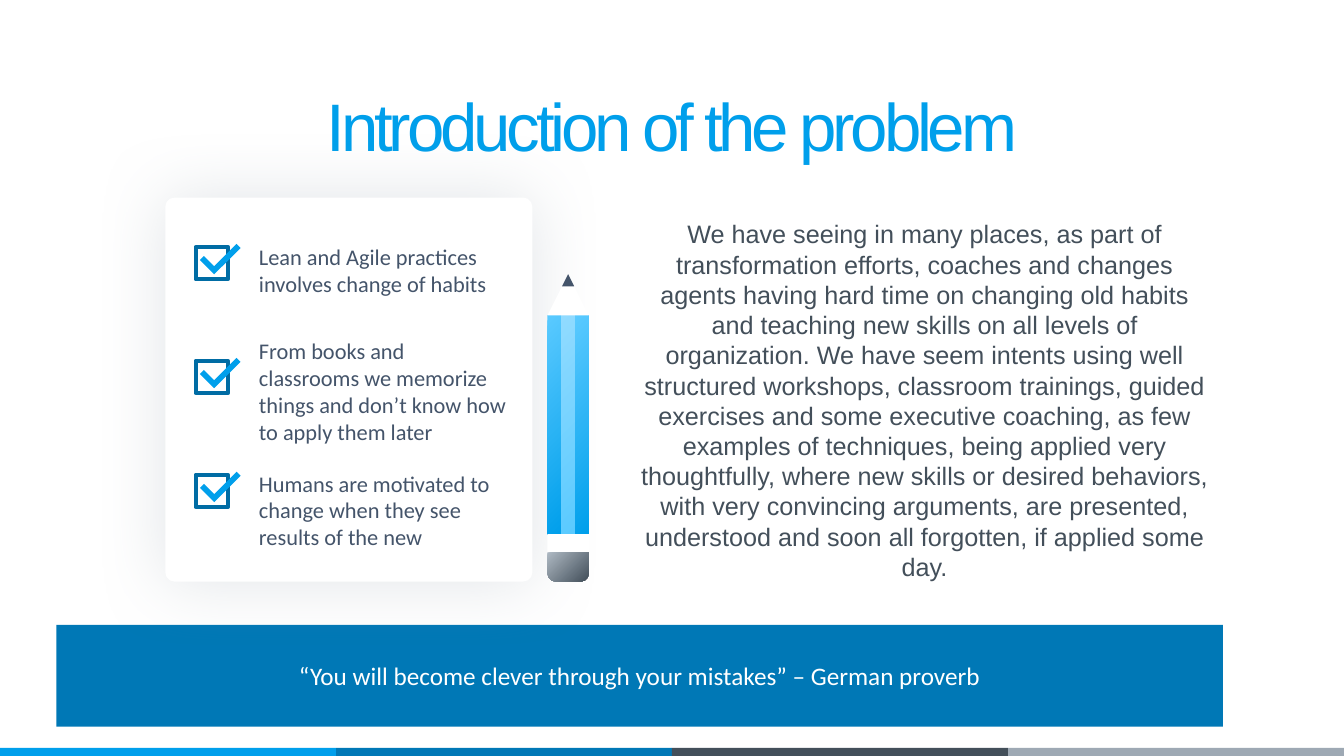
from dataclasses import dataclass

from lxml.etree import SubElement
from pptx import Presentation
from pptx.dml.color import RGBColor
from pptx.enum.shapes import MSO_SHAPE
from pptx.enum.text import MSO_ANCHOR, PP_ALIGN
from pptx.oxml.ns import qn
from pptx.util import Inches, Pt


@dataclass(frozen=True)
class Theme:
    sky: str = "009FEB"
    light_sky: str = "5ACAFF"
    pale_sky: str = "91DBFF"
    blue: str = "0078B6"
    box_blue: str = "006CA4"
    slate: str = "434F5A"
    ink: str = "44546A"
    grey: str = "9EA9B4"
    light_grey: str = "AEB9C3"
    white: str = "FFFFFF"
    title_size: int = 48
    body_size: int = 18
    item_size: int = 16
    heading_font: str = "Arial"
    text_font: str = "Calibri"


THEME = Theme()

CHECKLIST = [  # text, top and height within the card
    ("Lean and Agile practices involves change of habits", 0.40, 0.64),
    ("From books and classrooms we memorize things and don’t know how "
     "to apply them later", 1.34, 1.18),
    ("Humans are motivated to change when they see results of the new",
     2.65, 0.91),
]
PROBLEM = (
    "We have seeing in many places, as part of transformation efforts, "
    "coaches and changes agents having hard time on changing old habits and "
    "teaching new skills on all levels of organization. We have seem intents "
    "using well structured workshops, classroom trainings, guided exercises "
    "and some executive coaching, as few examples of techniques, being "
    "applied very thoughtfully, where new skills or desired behaviors, with "
    "very convincing arguments, are presented, understood and soon all "
    "forgotten, if applied some day."
)
QUOTE = "“You will become clever through your mistakes” – German proverb"


def add_block(shapes, kind, box, fill=None, line=None, adj=()):
    """Add a preset shape; fill is a colour, a pair for a gradient, or None."""
    sp = shapes.add_shape(kind, *map(Inches, box))
    sp.shadow.inherit = False
    for i, value in enumerate(adj):
        sp.adjustments[i] = value
    if fill is None:
        sp.fill.background()
    elif isinstance(fill, tuple):
        sp.fill.gradient()
        sp.fill.gradient_angle = 315
        for stop, color in zip(sp.fill.gradient_stops, fill):
            stop.color.rgb = RGBColor.from_string(color)
    else:
        sp.fill.solid()
        sp.fill.fore_color.rgb = RGBColor.from_string(fill)
    if line:
        sp.line.color.rgb = RGBColor.from_string(line)
        sp.line.width = Pt(3)
    else:
        sp.line.fill.background()
    return sp


def write(sp, text, size, font, color, align=PP_ALIGN.CENTER,
          anchor=MSO_ANCHOR.TOP):
    tf = sp.text_frame
    tf.word_wrap = True
    tf.vertical_anchor = anchor
    p = tf.paragraphs[0]
    p.alignment = align
    r = p.add_run()
    r.text = text
    r.font.size = Pt(size)
    r.font.name = font
    r.font.color.rgb = RGBColor.from_string(color)
    return r


def add_soft_shadow(sp, color, blur, opacity):
    effects = sp._element.spPr.find(qn("a:effectLst"))
    shadow = SubElement(effects, qn("a:outerShdw"), blurRad=str(Pt(blur)),
                        dist="0", dir="0", algn="ctr", rotWithShape="0")
    clr = SubElement(shadow, qn("a:srgbClr"), val=color)
    SubElement(clr, qn("a:alpha"), val=str(opacity * 1000))


def add_title(s, box):
    title = s.shapes.title
    title.left, title.top, title.width, title.height = map(Inches, box)
    r = write(title, "Introduction of the problem", THEME.title_size,
              THEME.heading_font, THEME.sky)
    r._r.get_or_add_rPr().set("spc", "-300")


def add_footer_stripe(s, box):
    left, top, width, height = box
    colors = (THEME.sky, THEME.blue, THEME.slate, THEME.grey)
    step = width / len(colors)
    for i, color in enumerate(colors):
        add_block(s.shapes, MSO_SHAPE.RECTANGLE,
                  (left + i * step, top, step, height), color)


def add_problem(s, box):
    sp = s.shapes.add_textbox(*map(Inches, box))
    write(sp, PROBLEM, THEME.body_size, THEME.heading_font, THEME.slate)


def add_quote(s, box):
    sp = add_block(s.shapes, MSO_SHAPE.RECTANGLE, box, THEME.blue)
    write(sp, QUOTE, THEME.body_size, THEME.text_font, THEME.white,
          anchor=MSO_ANCHOR.MIDDLE)


def add_checkbox(s, left, top):
    add_block(s.shapes, MSO_SHAPE.RECTANGLE, (left, top, 0.32, 0.32),
              line=THEME.box_blue)
    tick = add_block(s.shapes, MSO_SHAPE.CORNER,
                     (left + 0.06, top - 0.03, 0.37, 0.2), THEME.sky,
                     adj=(0.28, 0.28))
    tick.rotation = 315


def add_checklist(s, box):
    left, top, width, _ = box
    card = add_block(s.shapes, MSO_SHAPE.ROUNDED_RECTANGLE, box, THEME.white,
                     adj=(0.025,))
    add_soft_shadow(card, THEME.grey, blur=50, opacity=30)
    for i, (text, offset, height) in enumerate(CHECKLIST):
        add_checkbox(s, left + 0.3, top + 0.49 + i * 1.13)
        sp = s.shapes.add_textbox(Inches(left + 0.83), Inches(top + offset),
                                  Inches(width - 0.99), Inches(height))
        write(sp, text, THEME.item_size, THEME.text_font, THEME.ink,
              PP_ALIGN.LEFT)


def add_pencil(s, box):
    left, top, width, height = box
    wood, band, eraser, lead = width, 0.18, 0.29, 0.12
    body = height - wood - band - eraser
    shapes = s.shapes.add_group_shape().shapes
    side = (THEME.light_sky, THEME.sky)
    middle = (THEME.pale_sky, THEME.light_sky)
    for i, fill in enumerate((side, middle, side)):
        add_block(shapes, MSO_SHAPE.RECTANGLE,
                  (left + i * width / 3, top + wood, width / 3, body), fill)
    add_block(shapes, MSO_SHAPE.ISOSCELES_TRIANGLE, (left, top, width, wood),
              THEME.white)
    add_block(shapes, MSO_SHAPE.RECTANGLE,
              (left, top + wood + body, width, band), THEME.white)
    add_block(shapes, MSO_SHAPE.ROUND_2_SAME_RECTANGLE,
              (left, top + height - eraser, width, eraser),
              (THEME.light_grey, THEME.slate), adj=(0, 0.283))
    add_block(shapes, MSO_SHAPE.ISOSCELES_TRIANGLE,
              (left + (width - lead) / 2, top, lead, lead), THEME.ink)


def main():
    prs = Presentation()
    prs.slide_width, prs.slide_height = Inches(13.33), Inches(7.5)
    s = prs.slides.add_slide(prs.slide_layouts[5])
    add_footer_stripe(s, (0, 7.42, 13.33, 0.08))
    add_title(s, (0, 0.79, 13.33, 0.91))
    add_problem(s, (6.21, 2.12, 5.92, 3.74))
    add_quote(s, (0.56, 6.2, 11.57, 1.01))
    add_checklist(s, (1.64, 1.96, 3.64, 3.81))
    add_pencil(s, (5.43, 2.72, 0.41, 3.05))
    prs.save("out.pptx")


if __name__ == "__main__":
    main()
